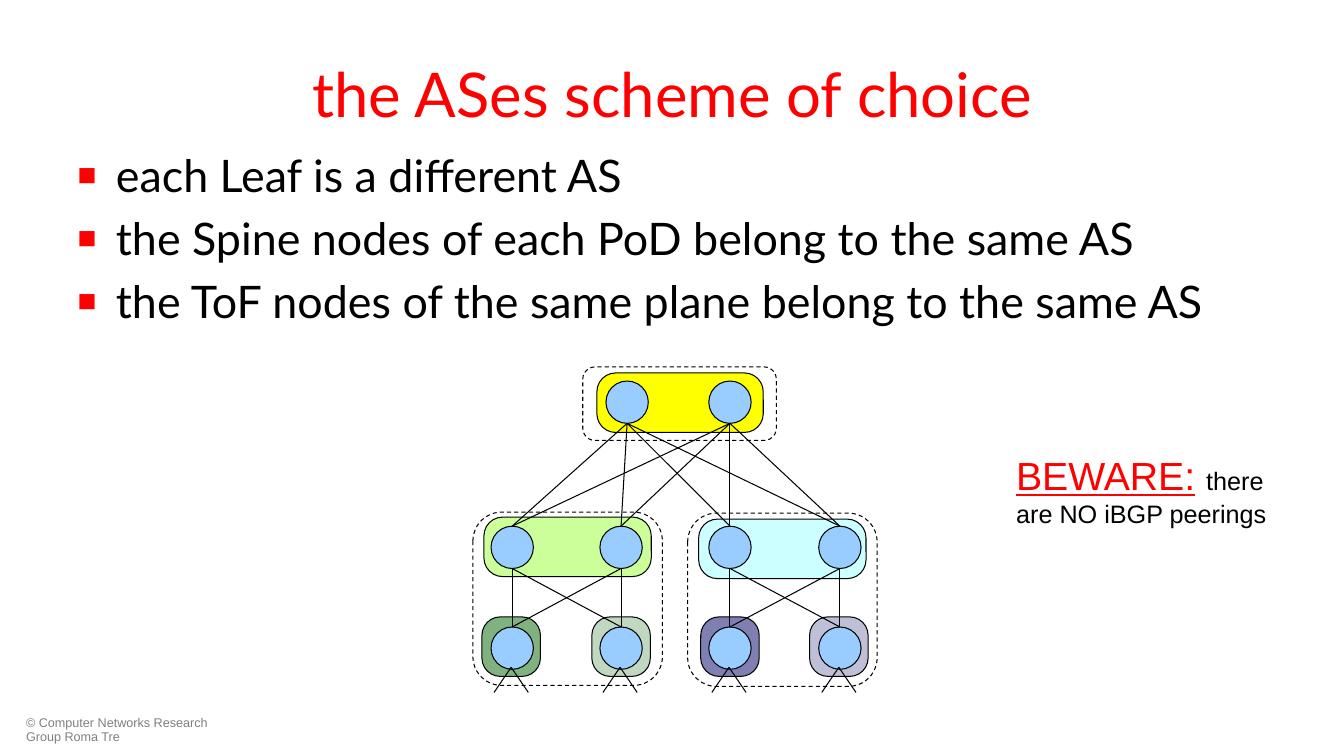
from dataclasses import dataclass
from itertools import product
from typing import Optional

from lxml import etree
from pptx import Presentation
from pptx.dml.color import RGBColor
from pptx.enum import dml, shapes, text
from pptx.oxml import ns
from pptx.util import Inches, Pt

RED = RGBColor(0xFF, 0x00, 0x00)
BLACK = RGBColor(0x00, 0x00, 0x00)
GRAY = RGBColor(0x80, 0x80, 0x80)
YELLOW = RGBColor(0xFF, 0xFF, 0x00)
LIME = RGBColor(0xCC, 0xFF, 0x99)
CYAN = RGBColor(0xCC, 0xFF, 0xFF)
GREEN = RGBColor(0x00, 0x66, 0x00)
NAVY = RGBColor(0x00, 0x00, 0x66)
NODE_BLUE = RGBColor(0x99, 0xCC, 0xFF)

NODE_SIZE = 0.42
AREA_HEIGHT = 0.59
AREA_ROUNDING = 0.315
LINE_WIDTH = Pt(0.75)

# Centres of the node columns and tops of the node rows
TOF_COLUMNS = (6.22, 7.24)
PODS = ((5.08, 6.16), (7.24, 8.33))
POD_COLUMNS = PODS[0] + PODS[1]
TOF_TOP, SPINE_TOP, LEAF_TOP = 3.78, 5.22, 6.22


@dataclass(frozen=True)
class Area:
    """Nodes that share one AS."""
    left: float
    top: float
    width: float
    color: RGBColor
    opacity: int = 100


@dataclass(frozen=True)
class Frame:
    left: float
    top: float
    width: float
    height: float


AREAS = (
    Area(5.92, 3.70, 1.65, YELLOW),
    Area(4.80, 5.13, 1.66, LIME),
    Area(6.93, 5.15, 1.66, CYAN),
    Area(4.78, 6.12, 0.58, GREEN, 50),
    Area(5.87, 6.12, 0.58, GREEN, 25),
    Area(6.95, 6.12, 0.58, NAVY, 50),
    Area(8.03, 6.12, 0.58, NAVY, 25),
)
FRAMES = (
    Frame(5.78, 3.64, 1.92, 0.73),
    Frame(4.69, 5.08, 1.88, 1.72),
    Frame(6.82, 5.09, 1.88, 1.72),
)
BULLETS = (
    "each Leaf is a different AS",
    "the Spine nodes of each PoD belong to the same AS",
    "the ToF nodes of the same plane belong to the same AS",
)


def add_span(para, words: str, *, font: str, size: float, color: RGBColor,
             underline: bool = False) -> None:
    span = para.add_run()
    span.text = words
    span.font.name = font
    span.font.size = Pt(size)
    span.font.color.rgb = color
    span.font.underline = underline


def place(box, left: float, top: float, width: float, height: float) -> None:
    box.left, box.top = Inches(left), Inches(top)
    box.width, box.height = Inches(width), Inches(height)


def add_text_box(page, left: float, top: float, width: float, height: float):
    """Add a wrapping text box and return its first paragraph."""
    box = page.shapes.add_textbox(Inches(left), Inches(top), Inches(width), Inches(height))
    box.text_frame.word_wrap = True
    return box.text_frame.paragraphs[0]


def set_square_bullet(para) -> None:
    props = para._p.get_or_add_pPr()
    props.set("marL", str(Inches(0.38)))
    props.set("indent", str(-Inches(0.38)))
    color = etree.SubElement(props, ns.qn("a:buClr"))
    etree.SubElement(color, ns.qn("a:srgbClr"), val=str(RED))
    etree.SubElement(props, ns.qn("a:buSzPct"), val="70000")
    etree.SubElement(props, ns.qn("a:buFont"), typeface="Arial")
    etree.SubElement(props, ns.qn("a:buChar"), char="■")


def add_outlined(page, kind, left: float, top: float, width: float, height: float,
                 color: Optional[RGBColor] = None):
    """Add a black-outlined shape, unfilled when no colour is given."""
    shape = page.shapes.add_shape(kind, Inches(left), Inches(top),
                                  Inches(width), Inches(height))
    shape.shadow.inherit = False
    shape.line.color.rgb = BLACK
    shape.line.width = LINE_WIDTH
    if color is None:
        shape.fill.background()
    else:
        shape.fill.solid()
        shape.fill.fore_color.rgb = color
    return shape


def add_area(page, area: Area) -> None:
    shape = add_outlined(page, shapes.MSO_SHAPE.ROUNDED_RECTANGLE, area.left, area.top,
                         area.width, AREA_HEIGHT, area.color)
    shape.adjustments[0] = AREA_ROUNDING
    if area.opacity < 100:
        color = shape._element.spPr.find(ns.qn("a:solidFill"))[0]
        etree.SubElement(color, ns.qn("a:alpha"), val=str(area.opacity * 1000))


def add_frame(page, frame: Frame) -> None:
    shape = add_outlined(page, shapes.MSO_SHAPE.ROUNDED_RECTANGLE, frame.left, frame.top,
                         frame.width, frame.height)
    shape.line.dash_style = dml.MSO_LINE.DASH


def add_nodes(page, columns: tuple[float, ...], top: float) -> None:
    for center in columns:
        add_outlined(page, shapes.MSO_SHAPE.OVAL, center - NODE_SIZE / 2, top,
                     NODE_SIZE, NODE_SIZE, NODE_BLUE)


def add_link(page, x1: float, y1: float, x2: float, y2: float) -> None:
    link = page.shapes.add_connector(shapes.MSO_CONNECTOR.STRAIGHT, Inches(x1),
                                     Inches(y1), Inches(x2), Inches(y2))
    link.line.color.rgb = BLACK
    link.line.width = LINE_WIDTH
    etree.SubElement(link._element.spPr, ns.qn("a:effectLst"))


def add_mesh(page, uppers: tuple[float, ...], upper_top: float,
             lowers: tuple[float, ...], lower_top: float) -> None:
    """Link every upper node to every lower node."""
    for upper, lower in product(uppers, lowers):
        add_link(page, upper, upper_top + NODE_SIZE, lower, lower_top)


def add_fabric(page) -> None:
    for area in AREAS:
        add_area(page, area)
    add_nodes(page, TOF_COLUMNS, TOF_TOP)
    add_nodes(page, POD_COLUMNS, SPINE_TOP)
    add_nodes(page, POD_COLUMNS, LEAF_TOP)
    add_mesh(page, TOF_COLUMNS, TOF_TOP, POD_COLUMNS, SPINE_TOP)
    for pod in PODS:
        add_mesh(page, pod, SPINE_TOP, pod, LEAF_TOP)
    for center, side in product(POD_COLUMNS, (-1, 1)):
        start = center - 0.01
        add_link(page, start, 6.62, start + side * 0.17, 6.87)
    for frame in FRAMES:
        add_frame(page, frame)


def add_title_and_list(page) -> None:
    title, body = page.placeholders
    place(title, 0.67, 0.3, 12, 1.25)
    title.text_frame.vertical_anchor = text.MSO_ANCHOR.MIDDLE
    heading = title.text_frame.paragraphs[0]
    heading.alignment = text.PP_ALIGN.CENTER
    add_span(heading, "the ASes scheme of choice", font="Lato", size=44, color=RED)

    place(body, 0.67, 1.42, 12, 1.89)
    body.text_frame.auto_size = text.MSO_AUTO_SIZE.NONE
    for index, words in enumerate(BULLETS):
        para = body.text_frame.add_paragraph() if index else body.text_frame.paragraphs[0]
        set_square_bullet(para)
        para.space_before = Pt(6.4 if index else 0)
        add_span(para, words, font="Lato", size=32, color=BLACK)


def main() -> None:
    deck = Presentation()
    deck.slide_width, deck.slide_height = Inches(13.33), Inches(7.5)
    page = deck.slides.add_slide(deck.slide_layouts[1])

    credit = add_text_box(page, 0.16, 7.06, 2.31, 0.36)
    credit.line_spacing = 0.9
    add_span(credit, "© Computer Networks Research Group Roma Tre",
             font="Arial", size=9, color=GRAY)
    add_title_and_list(page)
    add_fabric(page)
    warning = add_text_box(page, 9.98, 4.43, 2.94, 0.88)
    add_span(warning, "BEWARE:", font="Arial", size=28, color=RED, underline=True)
    add_span(warning, " ", font="Arial", size=28, color=RED)
    add_span(warning, "there are NO iBGP peerings", font="Arial", size=18, color=BLACK)

    deck.save("out.pptx")


if __name__ == "__main__":
    main()
